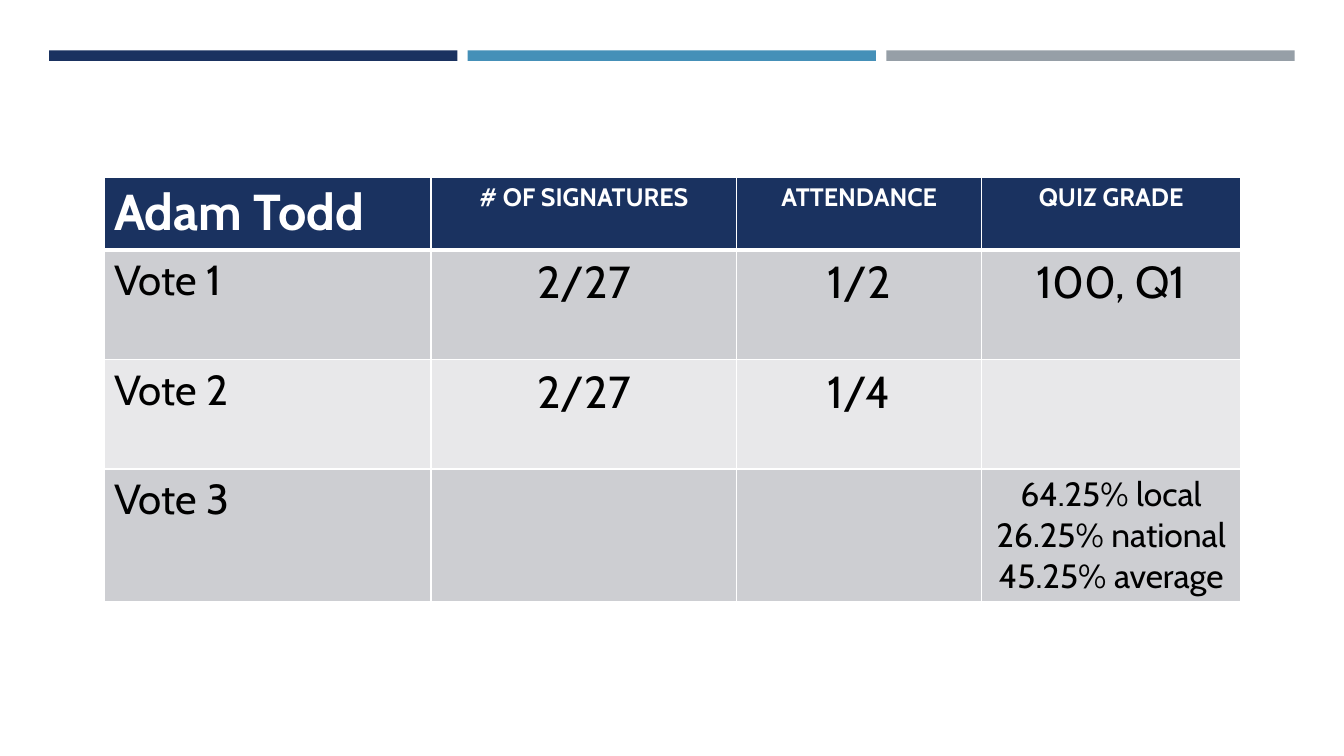
from lxml.etree import SubElement
from pptx import Presentation
from pptx.dml.color import RGBColor
from pptx.enum.shapes import MSO_SHAPE
from pptx.enum.text import PP_ALIGN
from pptx.oxml.ns import qn
from pptx.util import Pt

NAVY = RGBColor(0x1A, 0x32, 0x60)
BLUE = RGBColor(0x45, 0x90, 0xB8)
GRAY = RGBColor(0x96, 0x9F, 0xA7)
DARK_BAND = RGBColor(0xCD, 0xCE, 0xD2)
LIGHT_BAND = RGBColor(0xE8, 0xE8, 0xEA)
WHITE = RGBColor(0xFF, 0xFF, 0xFF)
BLACK = RGBColor(0x00, 0x00, 0x00)

BAR_LEFT, BAR_TOP, BAR_WIDTH, BAR_HEIGHT = 35.1, 36, 291.6, 7.6
BAR_STEP = 299

TABLE_LEFT, TABLE_TOP = 74.3, 126.4
COLUMN_WIDTHS = [233.6, 218.4, 175, 184.8]
ROW_HEIGHTS = [52.3, 78.2, 78.2, 94.6]
ROW_FILLS = [NAVY, DARK_BAND, LIGHT_BAND, DARK_BAND]
ROWS = [
    [("Adam Todd", 36), ("# OF SIGNATURES", 18), ("ATTENDANCE", 18), ("QUIZ GRADE", 18)],
    [("Vote 1", 30), ("2/27", 32), ("1/2", 32), ("100, Q1", 32)],
    [("Vote 2", 30), ("2/27", 32), ("1/4", 32), None],
    [("Vote 3", 30), None, None, ("64.25% local\n26.25% national\n45.25% average", 24)],
]


class VoteSlide:
    font_name = "Cabin"

    def __init__(self, presentation):
        self.slide = presentation.slides.add_slide(presentation.slide_layouts[6])

    def add_bar(self, left, color):
        shape = self.slide.shapes.add_shape(
            MSO_SHAPE.RECTANGLE, Pt(left), Pt(BAR_TOP), Pt(BAR_WIDTH), Pt(BAR_HEIGHT))
        shape.shadow.inherit = False
        shape.fill.solid()
        shape.fill.fore_color.rgb = color
        shape.line.fill.background()

    def add_table(self):
        table = self.slide.shapes.add_table(
            len(ROWS), len(COLUMN_WIDTHS), Pt(TABLE_LEFT), Pt(TABLE_TOP),
            Pt(sum(COLUMN_WIDTHS)), Pt(sum(ROW_HEIGHTS))).table
        for column, width in zip(table.columns, COLUMN_WIDTHS):
            column.width = Pt(width)
        for row_index, contents in enumerate(ROWS):
            table.rows[row_index].height = Pt(ROW_HEIGHTS[row_index])
            for column_index, content in enumerate(contents):
                cell = table.cell(row_index, column_index)
                self.set_borders(cell, top=3 if row_index == 1 else 1,
                                 bottom=3 if row_index == 0 else 1)
                cell.fill.solid()
                cell.fill.fore_color.rgb = ROW_FILLS[row_index]
                if content:
                    self.write_cell(cell, *content, is_header=row_index == 0,
                                    centered=column_index > 0)

    def set_borders(self, cell, top, bottom):
        """Draw white borders; call before filling, as the XML order requires."""
        properties = cell._tc.get_or_add_tcPr()
        for side, width in (("L", 1), ("R", 1), ("T", top), ("B", bottom)):
            line = SubElement(properties, qn(f"a:ln{side}"), w=str(Pt(width)))
            fill = SubElement(line, qn("a:solidFill"))
            SubElement(fill, qn("a:srgbClr"), val=str(WHITE))

    def write_cell(self, cell, text, size, is_header, centered):
        cell.text = text
        for paragraph in cell.text_frame.paragraphs:
            paragraph.alignment = PP_ALIGN.CENTER if centered else PP_ALIGN.LEFT
            font = paragraph.font
            font.name = self.font_name
            font.size = Pt(size)
            font.bold = is_header
            font.color.rgb = WHITE if is_header else BLACK


def main():
    presentation = Presentation()
    presentation.slide_width = Pt(960)
    presentation.slide_height = Pt(540)
    vote_slide = VoteSlide(presentation)
    for index, color in enumerate([NAVY, BLUE, GRAY]):
        vote_slide.add_bar(BAR_LEFT + index * BAR_STEP, color)
    vote_slide.add_table()
    presentation.save("out.pptx")


if __name__ == "__main__":
    main()
